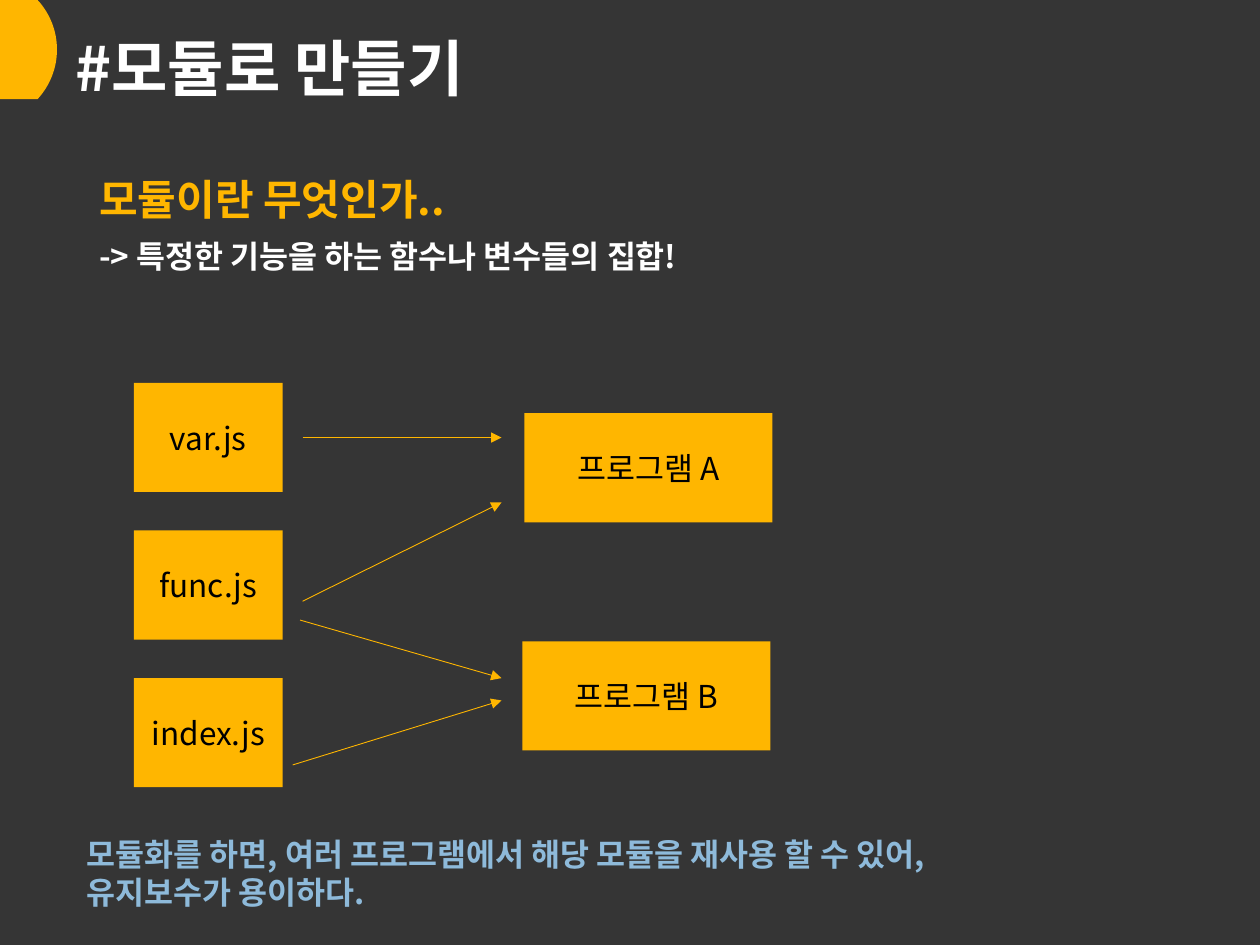
from dataclasses import dataclass
from math import asin, cos, sin

from pptx import Presentation
from pptx.dml.color import RGBColor
from pptx.enum.shapes import MSO_CONNECTOR, MSO_SHAPE
from pptx.enum.text import MSO_ANCHOR, PP_ALIGN
from pptx.oxml.ns import qn
from pptx.oxml.xmlchemy import OxmlElement
from pptx.util import Cm, Pt


@dataclass(frozen=True)
class Theme:
    background: RGBColor = RGBColor(0x35, 0x35, 0x35)
    accent: RGBColor = RGBColor(0xFF, 0xB6, 0x00)
    light: RGBColor = RGBColor(0xFF, 0xFF, 0xFF)
    dark: RGBColor = RGBColor(0x00, 0x00, 0x00)
    note: RGBColor = RGBColor(0x8E, 0xBA, 0xDA)
    font: str = "Noto Sans CJK KR"
    title_size: int = 35
    question_size: int = 24
    text_size: int = 18
    arrow_width: float = 0.5


@dataclass(frozen=True)
class Box:
    """A region in centimetres."""
    left: float
    top: float
    width: float
    height: float

    def inner(self, dx, dy, width, height):
        return Box(self.left + dx, self.top + dy, width, height)

    def lengths(self):
        return Cm(self.left), Cm(self.top), Cm(self.width), Cm(self.height)


THEME = Theme()


def style_paragraph(paragraph, size, color, bold=False):
    font = paragraph.font
    font.name, font.size, font.bold = THEME.font, Pt(size), bold
    font.color.rgb = color
    # Hangul takes its typeface from the East Asian slot
    east_asian = OxmlElement("a:ea")
    east_asian.set("typeface", THEME.font)
    paragraph._p.pPr.find(qn("a:defRPr")).find(qn("a:latin")).addnext(east_asian)


def add_text(slide, box, lines, anchor=MSO_ANCHOR.TOP, line_spacing=None, gap=0):
    """Each line is (wording, size, colour); all are bold."""
    frame = slide.shapes.add_textbox(*box.lengths()).text_frame
    frame.word_wrap = True
    frame.vertical_anchor = anchor
    for index, (wording, size, color) in enumerate(lines):
        paragraph = frame.add_paragraph() if index else frame.paragraphs[0]
        paragraph.text = wording
        paragraph.line_spacing = line_spacing
        paragraph.space_before = Pt(gap if index else 0)
        style_paragraph(paragraph, size, color, bold=True)


def fill_plain(shape, color):
    shape.shadow.inherit = False
    shape.fill.solid()
    shape.fill.fore_color.rgb = color
    shape.line.fill.background()


def add_corner_disc(slide, box, radius=1.47, steps=32):
    """The right part of a disc, cut off at the top and bottom of the box."""
    center_x = box.left + box.width - radius
    center_y = box.top + box.height / 2
    reach = asin(box.height / 2 / radius)
    angles = [reach * (2 * step / steps - 1) for step in range(steps + 1)]
    arc = [(Cm(center_x + radius * cos(a)), Cm(center_y + radius * sin(a))) for a in angles]
    builder = slide.shapes.build_freeform(Cm(box.left), Cm(box.top))
    builder.add_line_segments(arc + [(Cm(box.left), Cm(box.top + box.height))])
    fill_plain(builder.convert_to_shape(), THEME.accent)


def add_header(slide, box):
    add_corner_disc(slide, box.inner(0, 0, 1.15, 2))
    add_text(slide, box.inner(1.27, 0.61, 15.75, 1.63),
             [("#모듈로 만들기", THEME.title_size, THEME.light)],
             anchor=MSO_ANCHOR.BOTTOM, line_spacing=0.9)


def add_definition(slide, box):
    add_text(slide, box, [
        ("모듈이란 무엇인가..", THEME.question_size, THEME.accent),
        ("-> 특정한 기능을 하는 함수나 변수들의 집합!", THEME.text_size, THEME.light),
    ], line_spacing=0.9, gap=10)


def add_block(slide, box, label):
    block = slide.shapes.add_shape(MSO_SHAPE.RECTANGLE, *box.lengths())
    fill_plain(block, THEME.accent)
    block.text_frame.vertical_anchor = MSO_ANCHOR.MIDDLE
    paragraph = block.text_frame.paragraphs[0]
    paragraph.text = label
    paragraph.alignment = PP_ALIGN.CENTER
    style_paragraph(paragraph, THEME.text_size, THEME.dark)


def add_arrow(slide, start, end):
    arrow = slide.shapes.add_connector(
        MSO_CONNECTOR.STRAIGHT, *(Cm(value) for value in start + end))
    arrow.line.color.rgb = THEME.accent
    arrow.line.width = Pt(THEME.arrow_width)
    head = OxmlElement("a:tailEnd")
    head.set("type", "triangle")
    arrow.line._get_or_add_ln().append(head)
    arrow._element.spPr.append(OxmlElement("a:effectLst"))


def add_module_diagram(slide, box):
    block_height = 2.2
    modules = ("var.js", "func.js", "index.js")
    pitch = (box.height - block_height) / (len(modules) - 1)
    for row, module in enumerate(modules):
        add_block(slide, box.inner(0, row * pitch, 3, block_height), module)

    for dx, dy, program in ((7.87, 0.61, "프로그램 A"), (7.83, 5.21, "프로그램 B")):
        add_block(slide, box.inner(dx, dy, 5, block_height), program)

    tip_x = 7.41
    for start_x, start_y, tip_y in ((3.4, 1.1, 1.1), (3.4, 4.4, 2.41),
                                    (3.35, 4.78, 5.95), (3.2, 7.7, 6.4)):
        add_arrow(slide, (box.left + start_x, box.top + start_y),
                  (box.left + tip_x, box.top + tip_y))


def add_conclusion(slide, box):
    add_text(slide, box, [
        ("모듈화를 하면, 여러 프로그램에서 해당 모듈을 재사용 할 수 있어,",
         THEME.text_size, THEME.note),
        ("유지보수가 용이하다.", THEME.text_size, THEME.note),
    ])


def main():
    presentation = Presentation()
    presentation.slide_width, presentation.slide_height = Cm(25.4), Cm(19.05)
    slide = presentation.slides.add_slide(presentation.slide_layouts[6])
    slide.background.fill.solid()
    slide.background.fill.fore_color.rgb = THEME.background

    add_header(slide, Box(0, 0, 25.4, 2.24))
    add_definition(slide, Box(1.75, 3.48, 21.56, 3.05))
    add_module_diagram(slide, Box(2.7, 7.72, 12.87, 8.15))
    add_conclusion(slide, Box(1.5, 16.71, 22.81, 1.8))
    presentation.save("out.pptx")


if __name__ == "__main__":
    main()
